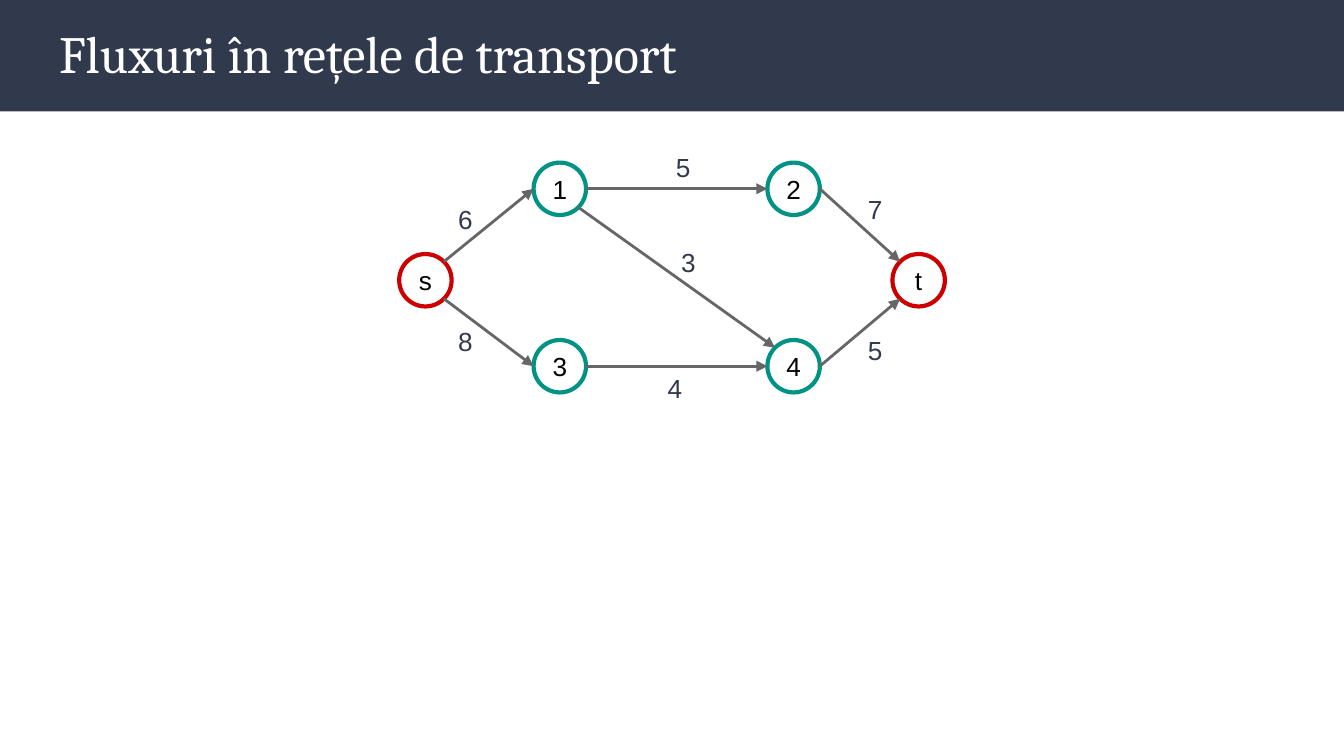
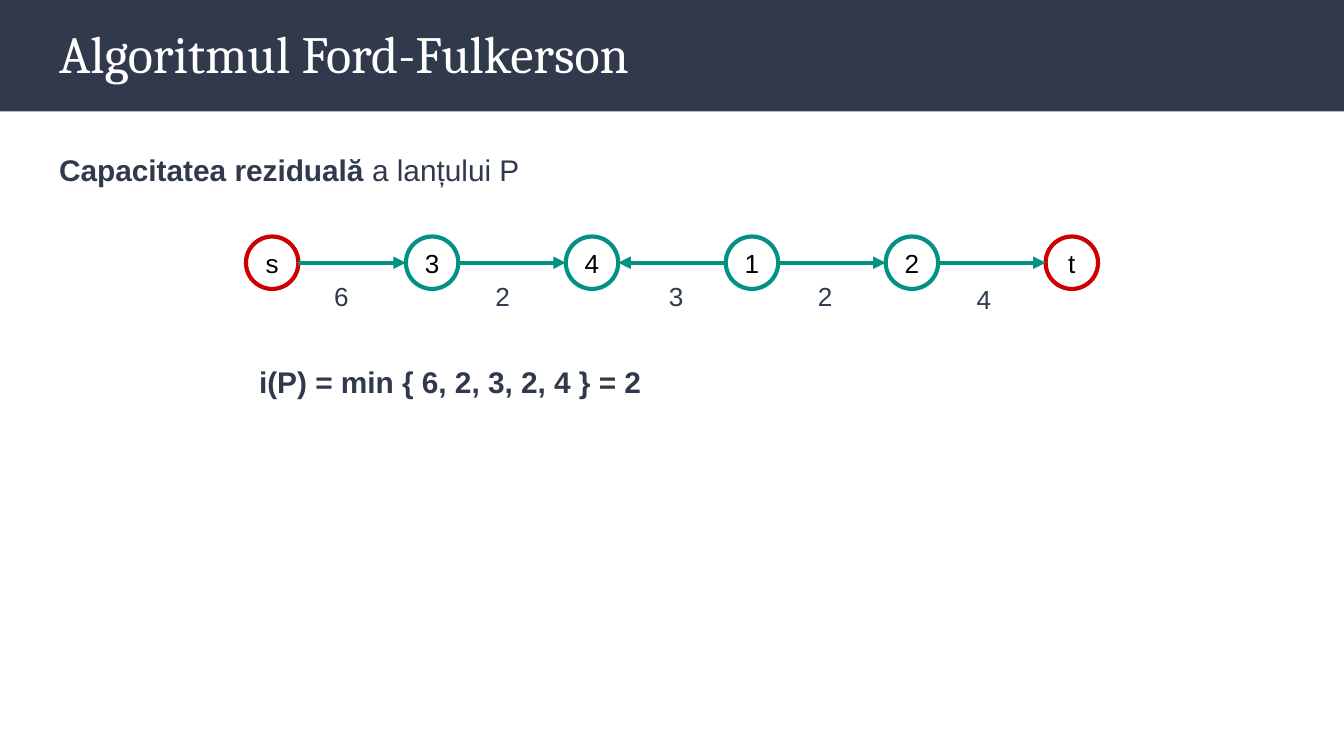
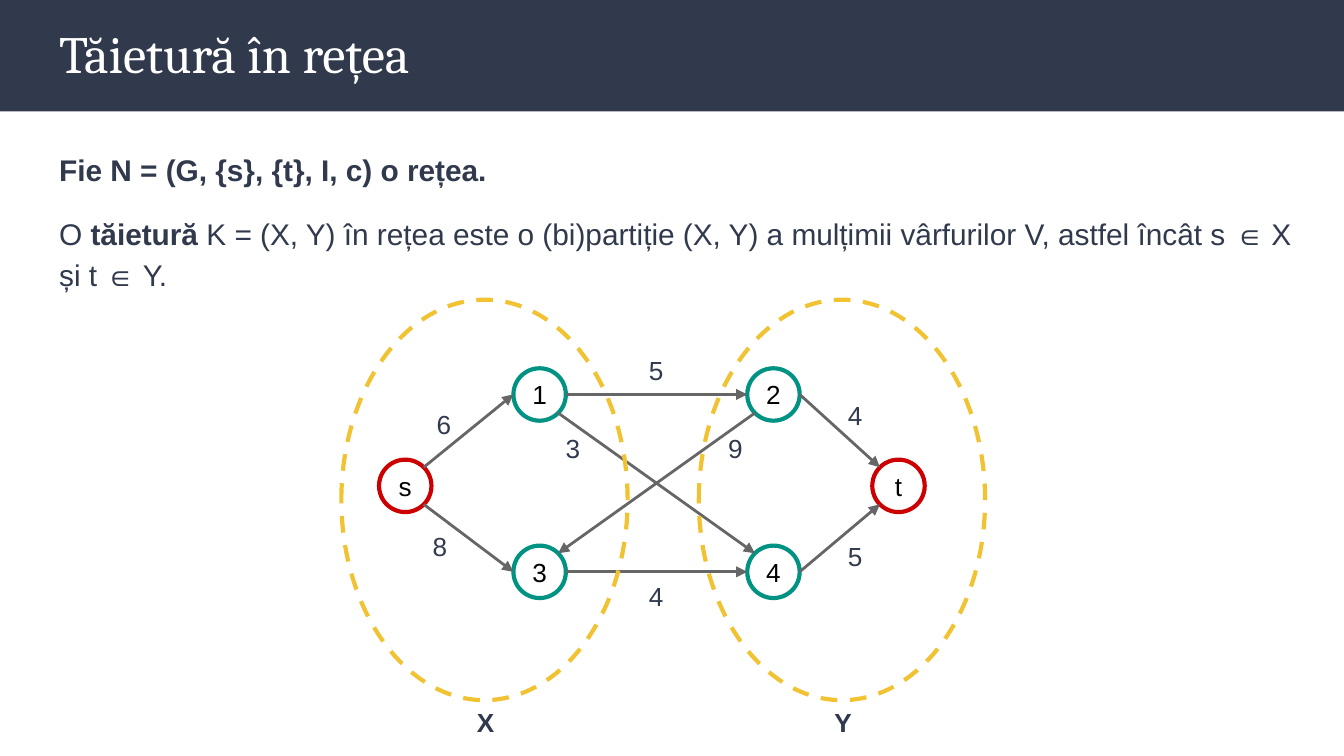
from math import sqrt

from lxml.etree import SubElement
from pptx import Presentation
from pptx.dml.color import RGBColor
from pptx.enum.dml import MSO_LINE_DASH_STYLE as Dash
from pptx.enum.shapes import MSO_CONNECTOR as Connector, MSO_SHAPE as Shape
from pptx.enum.text import MSO_ANCHOR as Anchor, MSO_AUTO_SIZE as AutoSize, PP_ALIGN as Align
from pptx.oxml.ns import qn
from pptx.util import Inches, Pt

# Shared look
WIDTH = 10
HEIGHT = WIDTH * 9 / 16
NAVY, WHITE, BLACK = "31394D", "FFFFFF", "000000"
RED, TEAL, GRAY, YELLOW = "CC0000", "009384", "666666", "F1C232"
HEADING_FONT, TEXT_FONT = "Cambria", "Arial"
MARGIN, BAND_HEIGHT, BODY_TOP = 0.34, 0.83, 0.99
NODE, LABEL_WIDTH, LABEL_HEIGHT = 0.39, 0.33, 0.44
TERMINALS = "st"

# Content: text runs are (text, bold)
FLOW_TITLE = "Fluxuri în rețele de transport"
CHAIN_TITLE = "Algoritmul Ford-Fulkerson"
CUT_TITLE = "Tăietură în rețea"
CHAIN_TEXT = [[("Capacitatea reziduală", True), (" a lanțului P", False)]]
CHAIN_RESULT = "i(P) = min { 6, 2, 3, 2, 4 } = 2"
CUT_TEXT = [
    [("Fie N = (G, {s}, {t}, I, c) o rețea.", True)],
    [("O ", False), ("tăietură", True),
     (" K = (X, Y) în rețea este o (bi)partiție (X, Y) a mulțimii vârfurilor V, "
      "astfel încât s ∈ X și t ∈ Y.", False)],
]

# Network: vertex places from its top left corner, and the sides each arc joins
VERTICES = {"s": (0, 0.68), "1": (1, 0), "2": (2.74, 0),
            "3": (1, 1.32), "4": (2.74, 1.32), "t": (3.67, 0.68)}
ARC_SIDES = {"s1": ("NE", "W"), "12": ("E", "W"), "2t": ("E", "NW"),
             "s3": ("SE", "W"), "34": ("E", "W"), "4t": ("E", "SW"),
             "14": ("SE", "NW"), "23": ("SW", "NE")}

# Arc: (capacity, label left, label top)
FLOW_ARCS = {"s1": ("6", 0.34, 0.2), "12": ("5", 1.96, -0.18), "2t": ("7", 3.39, 0.13),
             "s3": ("8", 0.34, 1.11), "34": ("4", 1.9, 1.46), "4t": ("5", 3.39, 1.18),
             "14": ("3", 2, 0.52)}
CUT_ARCS = {"s1": ("6", 0.33, 0.2), "12": ("5", 1.91, -0.2), "2t": ("4", 3.39, 0.13),
            "s3": ("8", 0.3, 1.11), "34": ("4", 1.91, 1.48), "4t": ("5", 3.39, 1.18),
            "14": ("3", 1.29, 0.38), "23": ("9", 2.5, 0.38)}
CUT_SETS = [("X", 2.54), ("Y", 5.2)]

# Chain: vertices in order, then (residual capacity, label centre, label top, forward)
CHAIN = "s3412t"
CHAIN_LEFT, CHAIN_TOP, CHAIN_STEP = 1.83, 1.76, 1.19
CHAIN_ARCS = [("6", 2.54, 1.99, True), ("2", 3.74, 1.99, True), ("3", 5.03, 1.99, False),
              ("2", 6.14, 1.99, True), ("4", 7.32, 2.01, True)]


def color(value):
    return RGBColor.from_string(value)


def box(left, top, width, height):
    return [Inches(length) for length in (left, top, width, height)]


def set_font(font, size, tint, name=TEXT_FONT, bold=None):
    font.name, font.size, font.bold = name, Pt(size), bold
    font.color.rgb = color(tint)


def set_insets(frame, inset):
    frame.margin_left = frame.margin_right = Inches(inset)
    frame.margin_top = frame.margin_bottom = Inches(inset)


def place(placeholder, left, top, width, height):
    placeholder.left, placeholder.top, placeholder.width, placeholder.height = box(
        left, top, width, height)
    frame = placeholder.text_frame
    frame.auto_size = AutoSize.NONE
    frame.vertical_anchor = Anchor.TOP
    set_insets(frame, 0.1)
    return frame


def add_slide(deck, title, body=None, body_width=WIDTH - 2 * MARGIN, body_height=4.48):
    slide = deck.slides.add_slide(deck.slide_layouts[1 if body else 5])
    heading = place(slide.shapes.title, MARGIN, 0.06, WIDTH - 2 * MARGIN, 0.68)
    heading.text = title
    heading.paragraphs[0].alignment = Align.LEFT
    set_font(heading.paragraphs[0].font, 28, WHITE, HEADING_FONT)
    if body:
        frame = place(slide.placeholders[1], MARGIN, BODY_TOP, body_width, body_height)
        for index, runs in enumerate(body):
            paragraph = frame.add_paragraph() if index else frame.paragraphs[0]
            properties = paragraph._p.get_or_add_pPr()
            properties.set("marL", "0")
            properties.set("indent", "0")
            SubElement(properties, qn("a:buNone"))
            paragraph.line_spacing = 1.15
            paragraph.space_before = Pt(12 if index else 0)
            paragraph.space_after = Pt(12 if index == len(body) - 1 else 0)
            set_font(paragraph.font, 16, NAVY)
            for text, bold in runs:
                run = paragraph.add_run()
                run.text, run.font.bold = text, bold
    return slide


def add_band(deck, slide):
    """Draw the title band and move it behind everything on the master."""
    band = slide.shapes.add_shape(Shape.RECTANGLE, *box(0, 0, WIDTH, BAND_HEIGHT))
    band.shadow.inherit = False
    band.fill.solid()
    band.fill.fore_color.rgb = color(NAVY)
    band.line.fill.background()
    deck.slide_master.shapes.element.insert(2, band.element)


def add_oval(slide, left, top, width, height, tint):
    oval = slide.shapes.add_shape(Shape.OVAL, *box(left, top, width, height))
    oval.shadow.inherit = False
    oval.fill.background()
    oval.line.color.rgb = color(tint)
    oval.line.width = Pt(2.25)
    return oval


def add_vertex(slide, name, left, top):
    tint = RED if name in TERMINALS else TEAL
    frame = add_oval(slide, left, top, NODE, NODE, tint).text_frame
    set_insets(frame, 0.02)
    frame.vertical_anchor = Anchor.MIDDLE
    frame.text = name
    frame.paragraphs[0].alignment = Align.CENTER
    set_font(frame.paragraphs[0].font, 14, BLACK)


def add_label(slide, text, left, top, width=LABEL_WIDTH, height=LABEL_HEIGHT,
              size=14, bold=None, align=Align.LEFT):
    frame = slide.shapes.add_textbox(*box(left, top, width, height)).text_frame
    frame.word_wrap = True
    set_insets(frame, 0.1)
    frame.text = text
    frame.paragraphs[0].alignment = align
    set_font(frame.paragraphs[0].font, size, NAVY, bold=bold)


def add_arrow(slide, start, end, tint, width):
    points = [Inches(length) for length in (*start, *end)]
    arrow = slide.shapes.add_connector(Connector.STRAIGHT, *points)
    arrow.line.color.rgb = color(tint)
    arrow.line.width = Pt(width)
    properties = arrow.element.spPr
    SubElement(properties.find(qn("a:ln")), qn("a:tailEnd"), type="triangle")
    SubElement(properties, qn("a:effectLst"))


def rim_point(left, top, side):
    """Point on a vertex's circle at a compass side such as E or NW."""
    across = ("E" in side) - ("W" in side)
    down = ("S" in side) - ("N" in side)
    reach = NODE / 2 / sqrt(across ** 2 + down ** 2)
    return left + NODE / 2 + across * reach, top + NODE / 2 + down * reach


def add_network(slide, left, top, arcs):
    places = {name: (left + x, top + y) for name, (x, y) in VERTICES.items()}
    for name, corner in places.items():
        add_vertex(slide, name, *corner)
    for arc, (capacity, x, y) in arcs.items():
        start, end = (rim_point(*places[name], side)
                      for name, side in zip(arc, ARC_SIDES[arc]))
        add_arrow(slide, start, end, GRAY, 1.5)
        add_label(slide, capacity, left + x, top + y)


def add_chain(slide):
    lefts = [CHAIN_LEFT + CHAIN_STEP * index for index in range(len(CHAIN))]
    for name, left in zip(CHAIN, lefts):
        add_vertex(slide, name, left, CHAIN_TOP)
    for left, following, arc in zip(lefts, lefts[1:], CHAIN_ARCS):
        capacity, center, top, forward = arc
        ends = [rim_point(left, CHAIN_TOP, "E"), rim_point(following, CHAIN_TOP, "W")]
        start, end = ends if forward else reversed(ends)
        add_arrow(slide, start, end, TEAL, 2.25)
        add_label(slide, capacity, center - 0.31, top, 0.62, align=Align.CENTER)


def add_cut(slide):
    for name, left in CUT_SETS:
        add_oval(slide, left, 2.23, 2.13, 2.98, YELLOW).line.dash_style = Dash.DASH
        add_label(slide, name, left + 0.91, 5.16, bold=True)


def main():
    deck = Presentation()
    deck.slide_width, deck.slide_height = Inches(WIDTH), Inches(HEIGHT)

    # Transport network
    flow = add_slide(deck, FLOW_TITLE)
    add_band(deck, flow)
    add_network(flow, 2.97, 1.21, FLOW_ARCS)

    # Residual capacity of a chain
    chain = add_slide(deck, CHAIN_TITLE, CHAIN_TEXT)
    add_chain(chain)
    add_label(chain, CHAIN_RESULT, CHAIN_LEFT, 2.61, 5.5, 0.47, size=16, bold=True)

    # Cut in the network
    cut = add_slide(deck, CUT_TITLE, CUT_TEXT, 9.4, 4.11)
    add_network(cut, 2.82, 2.74, CUT_ARCS)
    add_cut(cut)

    deck.save("out.pptx")


if __name__ == "__main__":
    main()
